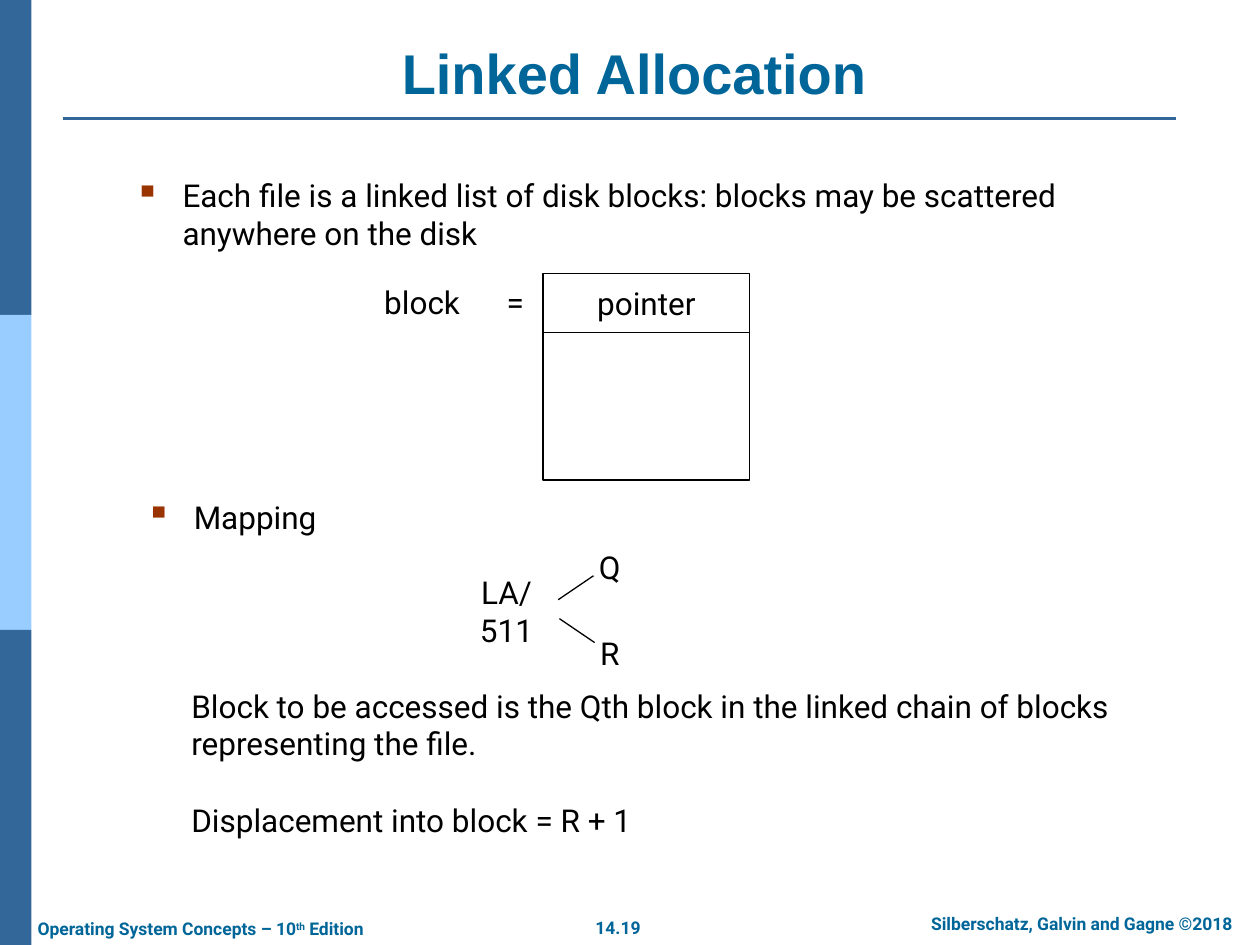
from lxml import etree
from pptx import Presentation
from pptx.dml.color import RGBColor
from pptx.enum.shapes import MSO_CONNECTOR, MSO_SHAPE
from pptx.enum.text import MSO_ANCHOR, MSO_AUTO_SIZE, PP_ALIGN
from pptx.oxml.ns import qn
from pptx.util import Inches, Pt

LEFT, MID = PP_ALIGN.LEFT, PP_ALIGN.CENTER
TOP, CORE, BASE = MSO_ANCHOR.TOP, MSO_ANCHOR.MIDDLE, MSO_ANCHOR.BOTTOM
RECT, LINE = MSO_SHAPE.RECTANGLE, MSO_CONNECTOR.STRAIGHT
FIXED = MSO_AUTO_SIZE.NONE

COLORS = {"dark": "336699", "light": "99CCFF", "head": "006699",
          "ink": "000000", "paper": "FFFFFF", "mark": "993300"}
HEAD = {"name": "Arial", "size": Pt(32), "bold": True, "color": "head"}
BODY = {"name": "Roboto", "size": Pt(18), "bold": False, "color": "ink"}
FOOT = {"name": "Roboto", "size": Pt(10), "bold": True, "color": "head"}

# The grid has 100 columns and 75 rows
COLS, ROWS = 100, 75
WIDE, HIGH = Inches(10), Inches(7.5)


def rgb(key):
    return RGBColor.from_string(COLORS[key])


def grid(col, row):
    return int(WIDE * col / COLS), int(HIGH * row / ROWS)


def style(font, form):
    for key, value in form.items():
        if key == "color":
            font.color.rgb = rgb(value)
        else:
            setattr(font, key, value)


def write(shape, texts, form, align=LEFT, anchor=TOP, wrap=True, gap=0):
    """Fill a shape with paragraphs, gap being the space between them."""
    frame = shape.text_frame
    frame.auto_size = FIXED
    frame.word_wrap = wrap
    frame.vertical_anchor = anchor
    for i, text in enumerate(texts):
        para = frame.paragraphs[0] if i == 0 else frame.add_paragraph()
        para.alignment = align
        para.space_before = Pt(gap if i else 0)
        run = para.add_run()
        run.text = text
        style(run.font, form)
    return frame.paragraphs[0]


def label(slide, area, texts, form=BODY, **how):
    box = slide.shapes.add_textbox(*grid(*area[:2]), *grid(*area[2:]))
    return write(box, texts, form, **how)


def bullet(slide, area, text):
    para = label(slide, area, [text])
    props = para._p.get_or_add_pPr()
    props.set("marL", str(Inches(0.38)))
    props.set("indent", str(-Inches(0.38)))
    tint = etree.SubElement(props, qn("a:buClr"))
    etree.SubElement(tint, qn("a:srgbClr"), val=COLORS["mark"])
    etree.SubElement(props, qn("a:buSzPct"), val="110000")
    etree.SubElement(props, qn("a:buChar"), char="▪")


def block(slide, area, fill, edge=None):
    shape = slide.shapes.add_shape(RECT, *grid(*area[:2]), *grid(*area[2:]))
    shape.shadow.inherit = False
    shape.fill.solid()
    shape.fill.fore_color.rgb = rgb(fill)
    if edge:
        shape.line.color.rgb = rgb(edge)
        shape.line.width = Pt(0.75)
    else:
        shape.line.fill.background()
    return shape


def rule(slide, start, end, color="ink", width=0.75):
    line = slide.shapes.add_connector(LINE, *grid(*start), *grid(*end))
    line.line.color.rgb = rgb(color)
    line.line.width = Pt(width)
    etree.SubElement(line._element.spPr, qn("a:effectLst"))


def frame(slide):
    # Side band in three equal parts, and the rule below the title
    for i, color in enumerate(("dark", "light", "dark")):
        block(slide, (0, i * ROWS / 3, 2.5, ROWS / 3), color)
    rule(slide, (5, 9.4), (93.3, 9.4), "dark", 1.5)

    # Footer
    label(slide, (46.2, 72.3, 5.7, 2.7), ["14.19"], FOOT, align=MID, wrap=False)
    label(slide, (71, 72, 29.7, 2.7),
          ["Silberschatz, Galvin and Gagne ©2018"], FOOT, align=MID)
    para = label(slide, (2, 72.4, 29.9, 2.7),
                 ["Operating System Concepts – 10"], FOOT)
    for text, lift in (("th", "30000"), (" Edition", "0")):
        run = para.add_run()
        run.text = text
        style(run.font, FOOT)
        run._r.get_or_add_rPr().set("baseline", lift)


def title(slide, text):
    head = slide.shapes.title
    head.left, head.top = grid(7.2, 2.6)
    head.width, head.height = grid(86.3, 6.3)
    write(head, [text], HEAD, align=MID, anchor=BASE)


def layout(slide):
    # Disk block with its pointer
    cell = block(slide, (43.1, 21.7, 16.4, 4.7), "paper", "ink")
    write(cell, ["pointer"], BODY, align=MID, anchor=CORE)
    block(slide, (43.1, 26.4, 16.4, 11.7), "paper", "ink")
    for text, col, cols in (("block", 28.5, 10), ("=", 38.9, 4)):
        label(slide, (col, 22, cols, 4), [text],
              align=MID, anchor=CORE, wrap=False)


def split(slide):
    # Logical address split into quotient and remainder
    label(slide, (35.3, 46.5, 9.8, 4), ["LA/511"], align=MID, anchor=CORE)
    for text, row in (("Q", 43), ("R", 49.8)):
        label(slide, (46.4, row, 4, 4), [text],
              align=MID, anchor=CORE, wrap=False)
    rule(slide, (44.3, 47.6), (47.1, 45.7))
    rule(slide, (44.4, 49.1), (47.2, 51))


def main():
    deck = Presentation()
    deck.slide_width, deck.slide_height = WIDE, HIGH
    slide = deck.slides.add_slide(deck.slide_layouts[5])
    frame(slide)
    title(slide, "Linked Allocation")
    bullet(slide, (9.7, 13.5, 82.9, 8.2),
           "Each file is a linked list of disk blocks: "
           "blocks may be scattered anywhere on the disk")
    layout(slide)
    bullet(slide, (10.6, 39, 80.6, 5), "Mapping")
    split(slide)
    label(slide, (14.2, 54, 78.9, 14),
          ["Block to be accessed is the Qth block in the linked chain "
           "of blocks representing the file.",
           "Displacement into block = R + 1"], gap=22)
    deck.save("out.pptx")


if __name__ == "__main__":
    main()
